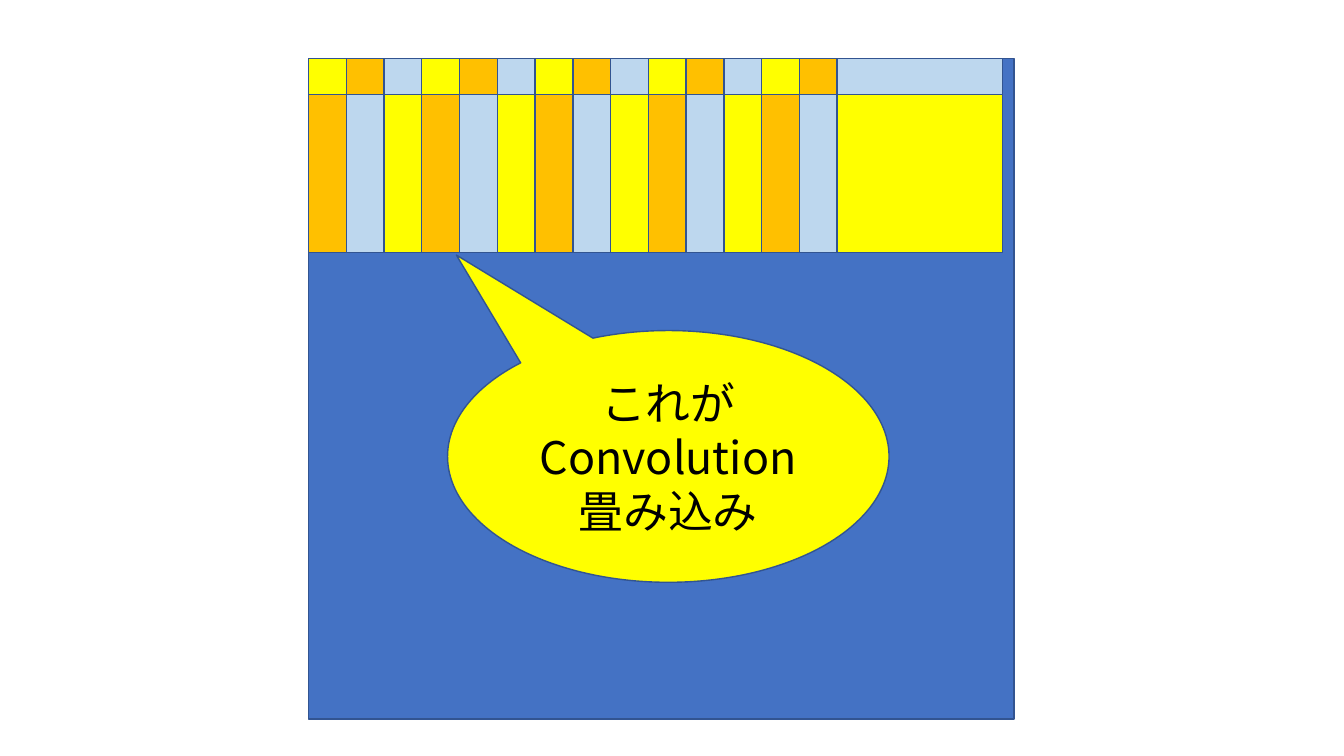
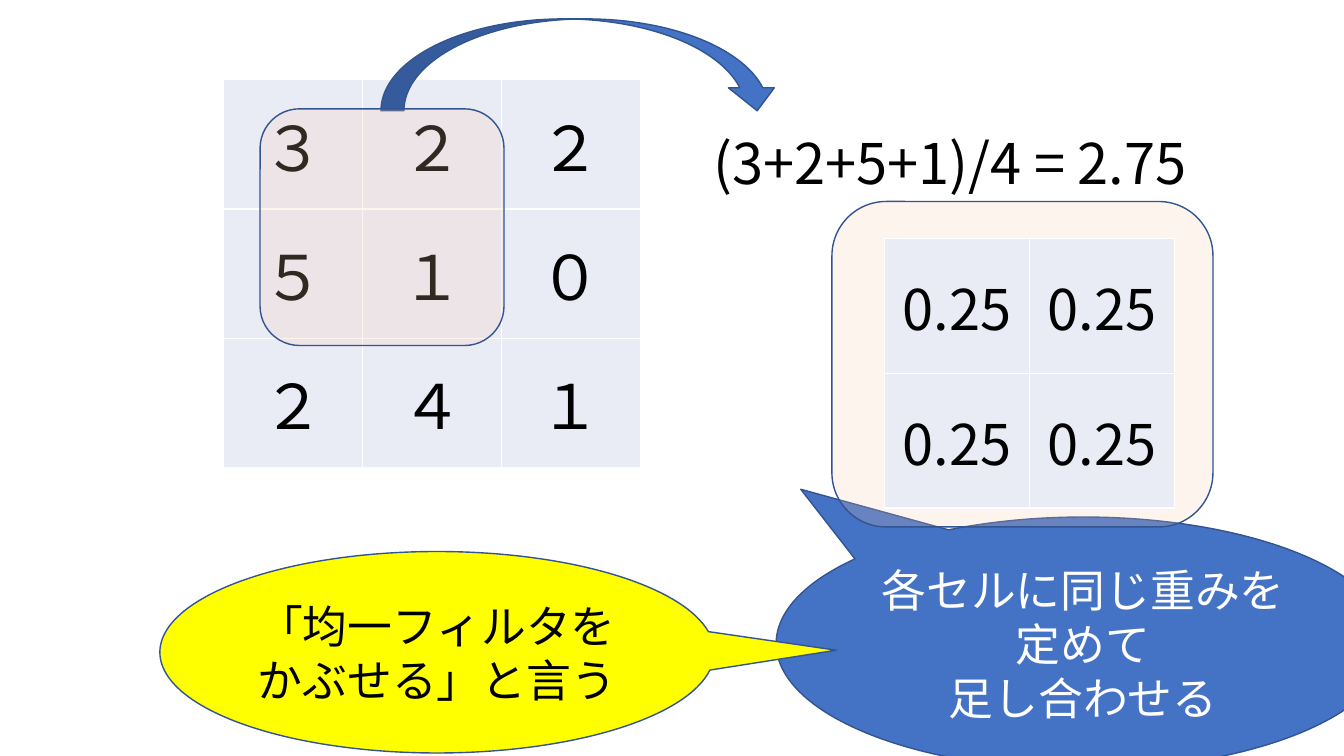
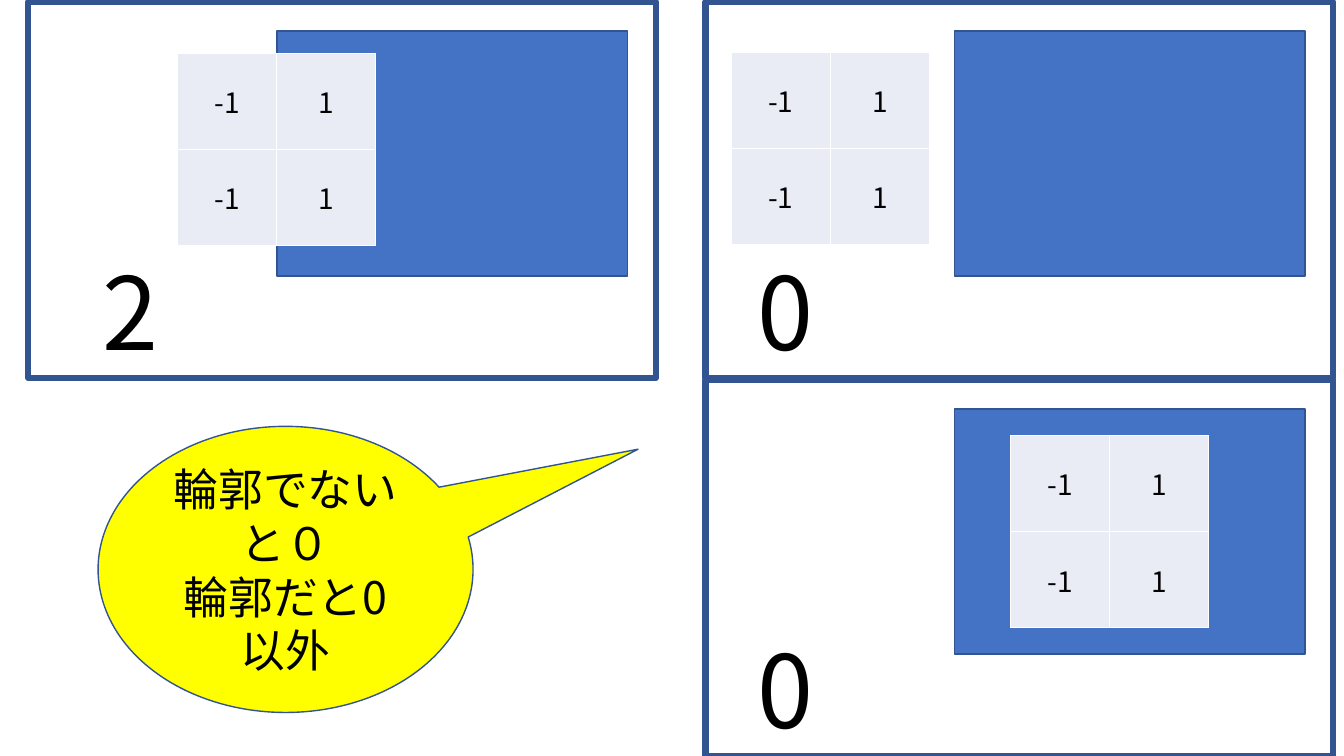
from itertools import product

from lxml.etree import SubElement
from pptx import Presentation
from pptx.dml.color import RGBColor
from pptx.enum.shapes import MSO_SHAPE as Preset
from pptx.enum.text import MSO_ANCHOR as Anchor, MSO_AUTO_SIZE as AutoSize, PP_ALIGN as Align
from pptx.oxml import parse_xml
from pptx.oxml.ns import nsdecls, qn
from pptx.util import Inches, Pt

FONT = "Noto Sans CJK JP"
BLUE, OUTLINE, PALE_BLUE = "4472C4", "325491", "BDD7EE"
YELLOW, ORANGE, PEACH = "FFFF00", "FFC000", "F8CBAD"
BLACK, WHITE, CELL = "000000", "FFFFFF", "E9EBF5"

FLOATING_TEXT = {"word_wrap": False, "auto_size": AutoSize.SHAPE_TO_FIT_TEXT}
SHAPE_TEXT = {"word_wrap": True, "vertical_anchor": Anchor.MIDDLE}
PLAIN_TABLE = {"first_row": False, "horz_banding": False}


def color(hex_string):
    return RGBColor.from_string(hex_string)


def apply(target, values):
    for name, value in values.items():
        setattr(target, name, value)


class Deck:
    """Holds the style and the current slide; boxes are percentages of the slide."""

    def __init__(self):
        self.presentation = Presentation()
        apply(self.presentation, {"slide_width": Inches(13.333), "slide_height": Inches(7.5)})
        self.slide = None

    def new_slide(self):
        self.slide = self.presentation.slides.add_slide(self.presentation.slide_layouts[6])

    def place(self, left, top, width, height):
        """Turn percentages into lengths."""
        across, down = self.presentation.slide_width, self.presentation.slide_height
        return (int(left * across / 100), int(top * down / 100),
                int(width * across / 100), int(height * down / 100))

    def fill_text(self, frame, lines, size, ink=BLACK, align=Align.CENTER):
        for index, line in enumerate(lines):
            paragraph = frame.add_paragraph() if index else frame.paragraphs[0]
            paragraph.alignment = align
            run = paragraph.add_run()
            run.text = line
            apply(run.font, {"size": Pt(size), "name": FONT})
            run.font.color.rgb = color(ink)
            SubElement(run.font._element, qn("a:ea"), typeface=FONT)

    def shape(self, preset, box, fill=None, line_width=1, opacity=100):
        shape = self.slide.shapes.add_shape(preset, *self.place(*box))
        shape.shadow.inherit = False
        shape.line.color.rgb = color(OUTLINE)
        shape.line.width = Pt(line_width)
        if fill:
            shape.fill.solid()
            shape.fill.fore_color.rgb = color(fill)
        else:
            shape.fill.background()
        if opacity < 100:
            fill_color = next(shape._element.spPr.iter(qn("a:srgbClr")))
            SubElement(fill_color, qn("a:alpha"), val=str(opacity * 1000))
        return shape

    def rectangle(self, box, fill=None, line_width=1):
        self.shape(Preset.RECTANGLE, box, fill, line_width)

    def veil(self, box):
        """Add a translucent rounded frame."""
        self.shape(Preset.ROUNDED_RECTANGLE, box, PEACH, opacity=20)

    def callout(self, box, tip, lines, fill=YELLOW, ink=BLACK):
        shape = self.shape(Preset.OVAL_CALLOUT, box, fill)
        for index, share in enumerate(tip):
            shape.adjustments[index] = share
        apply(shape.text_frame, SHAPE_TEXT)
        self.fill_text(shape.text_frame, lines, 32, ink)

    def text(self, box, line, size):
        frame = self.slide.shapes.add_textbox(*self.place(*box)).text_frame
        apply(frame, FLOATING_TEXT)
        self.fill_text(frame, [line], size, align=Align.LEFT)

    def table(self, box, rows, size):
        place = self.place(*box)
        table = self.slide.shapes.add_table(len(rows), len(rows[0]), *place).table
        apply(table, PLAIN_TABLE)
        for row, values in enumerate(rows):
            for column, value in enumerate(values):
                cell = table.cell(row, column)
                cell.vertical_anchor = Anchor.MIDDLE
                cell.fill.solid()
                cell.fill.fore_color.rgb = color(CELL)
                self.fill_text(cell.text_frame, [value], size)
                self.border(cell)

    def border(self, cell):
        properties = cell._tc.get_or_add_tcPr()
        for index, side in enumerate(("lnL", "lnR", "lnT", "lnB")):
            properties.insert(index, parse_xml(
                f'<a:{side} {nsdecls("a")} w="{Pt(1)}"><a:solidFill>'
                f'<a:srgbClr val="{WHITE}"/></a:solidFill></a:{side}>'))


def convolution_slide(deck):
    deck.new_slide()
    left, top = 22.95, 7.75
    deck.rectangle((left, top, 52.5, 87.35), BLUE)
    patch_colors = (YELLOW, ORANGE, PALE_BLUE)
    for row, column in product(range(2), range(15)):
        deck.rectangle((left + 2.81 * column, top + 4.75 * row, 12.3, 20.9),
                       patch_colors[(row + column) % 3])
    deck.callout((33.3, 43.73, 32.85, 33.3), (-0.48, -0.8),
                 ["これが", "Convolution", "畳み込み"])


def uniform_filter_slide(deck):
    deck.new_slide()
    deck.table((16.65, 10.55, 30.98, 51.3), ["３２２", "５１０", "２４１"], 44)
    deck.shape(Preset.CURVED_DOWN_ARROW, (28.35, 2.5, 29.7, 12.15), BLUE)
    deck.text((52.35, 16.4, 41.25, 10.25), "(3+2+5+1)/4 = 2.75", 40)
    deck.veil((19.35, 14.4, 18.15, 31.3))
    deck.callout((57.75, 68.4, 45.7, 33.45), (-0.46, -0.61),
                 ["各セルに同じ重みを定めて", "足し合わせる"], BLUE, WHITE)
    deck.callout((11.9, 72.95, 41.25, 26.65), (0.72, -0.01),
                 ["「均一フィルタをかぶせる」と言う"])
    deck.veil((61.9, 26.65, 28.35, 43.05))
    deck.table((65.8, 31.6, 21.6, 35.6), [["0.25"] * 2] * 2, 40)


def edge_filter_slide(deck):
    deck.new_slide()
    # Panel corner, kernel offset in the panel, result and its offset
    panels = (
        (2.1, 0.25, 11.1, 6.8, "2", 4.8),
        (52.5, 0.25, 1.9, 6.65, "0", 3.1),
        (52.5, 50.25, 22.7, 7.35, "0", 3.1),
    )
    for left, top, kernel_x, kernel_y, result, result_x in panels:
        deck.rectangle((left, top, 46.7, 49.75), line_width=4.5)
        deck.rectangle((left + 18.5, top + 3.85, 26.1, 32.4), BLUE)
        deck.table((left + kernel_x, top + kernel_y, 14.75, 25.45), [["-1", "1"]] * 2, 20)
        deck.text((left + result_x, top + 32.1, 5.7, 17.45), result, 72)
    deck.callout((7.3, 56.4, 27.9, 37.85), (0.94, -0.42),
                 ["輪郭でないと０", "輪郭だと0以外"])


def main():
    deck = Deck()
    convolution_slide(deck)
    uniform_filter_slide(deck)
    edge_filter_slide(deck)
    deck.presentation.save("out.pptx")


if __name__ == "__main__":
    main()
